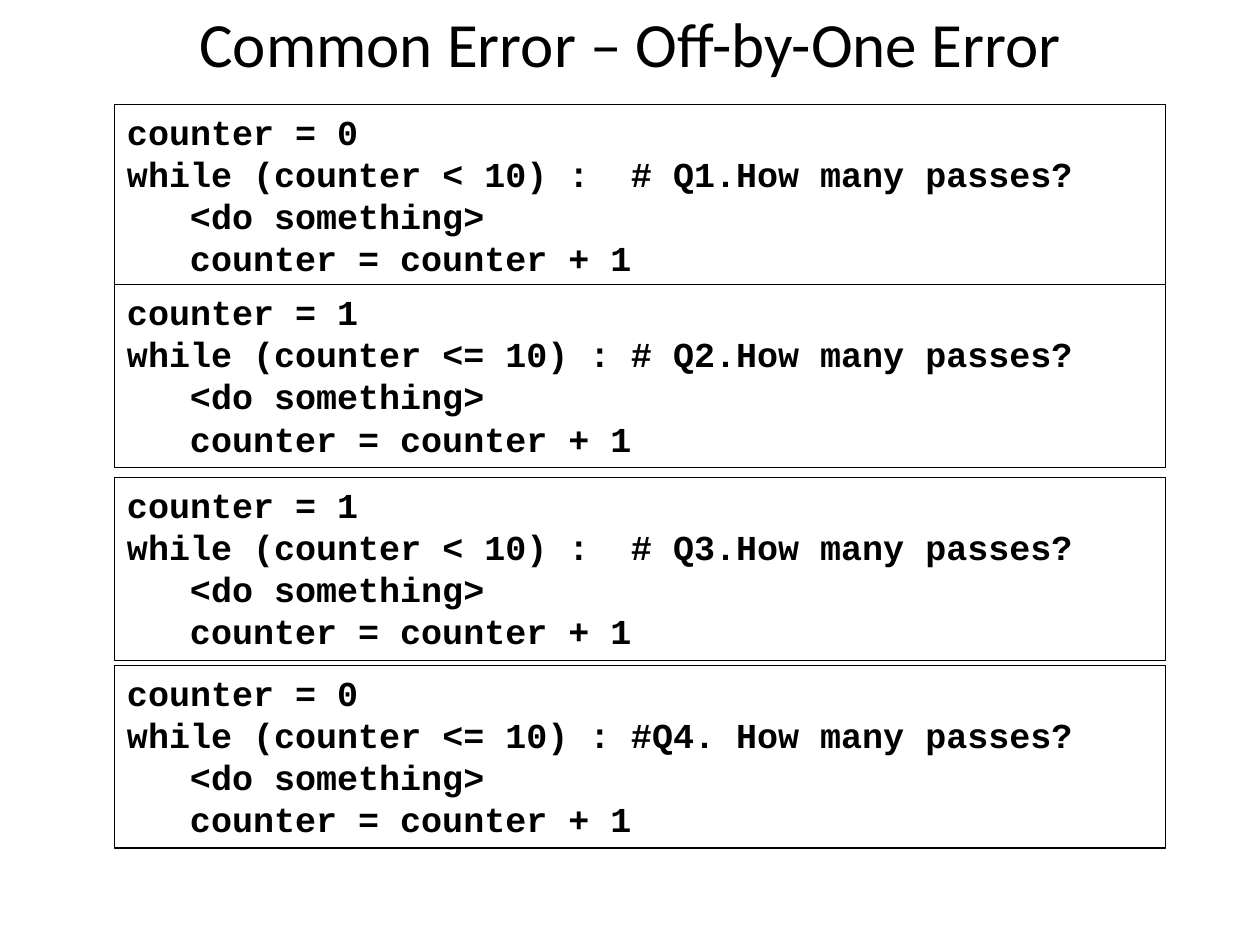
from lxml.etree import SubElement
from pptx import Presentation
from pptx.dml.color import RGBColor
from pptx.enum.shapes import MSO_SHAPE
from pptx.enum.text import MSO_ANCHOR, MSO_AUTO_SIZE, PP_ALIGN
from pptx.oxml.ns import qn
from pptx.util import Inches, Pt


def color(hex_value):
    return RGBColor.from_string(hex_value)


def write(paragraph, text, font="Courier New", size=20, bold=True,
          align=PP_ALIGN.LEFT, indent=0, tab=None):
    paragraph.alignment = align
    properties = paragraph._p.get_or_add_pPr()
    properties.set("marL", str(Inches(indent)))
    properties.set("indent", "0")
    if tab:
        tab_list = SubElement(properties, qn("a:tabLst"))
        SubElement(tab_list, qn("a:tab"), pos=str(Inches(tab)), algn="l")
    run = paragraph.add_run()
    run.text = text
    run.font.name = font
    run.font.size = Pt(size)
    run.font.bold = bold
    run.font.color.rgb = color("000000")


presentation = Presentation()
presentation.slide_width = Inches(10)
presentation.slide_height = Inches(7.5)
slide = presentation.slides.add_slide(presentation.slide_layouts[6])

title = slide.shapes.add_textbox(Inches(0.75), 0, Inches(8.5), Inches(0.67))
title.text_frame.word_wrap = True
title.text_frame.vertical_anchor = MSO_ANCHOR.MIDDLE
write(title.text_frame.paragraphs[0], "Common Error – Off-by-One Error",
      font="Calibri", size=36, bold=False, align=PP_ALIGN.CENTER)

character_width = 1 / 6
loops = [
    (0.83, 0, "<", "# Q1.How many passes?"),
    (2.26, 1, "<=", "# Q2.How many passes?"),
    (3.79, 1, "<", "# Q3.How many passes?"),
    (5.28, 0, "<=", "#Q4. How many passes?"),
]
for top, start, operator, question in loops:
    box = slide.shapes.add_shape(MSO_SHAPE.RECTANGLE, Inches(0.91), Inches(top),
                                 Inches(8.34), Inches(1.45))
    box.shadow.inherit = False
    box.fill.solid()
    box.fill.fore_color.rgb = color("FFFFFF")
    box.line.color.rgb = color("000000")
    box.line.width = Pt(0.75)

    frame = box.text_frame
    frame.word_wrap = True
    frame.auto_size = MSO_AUTO_SIZE.SHAPE_TO_FIT_TEXT
    frame.vertical_anchor = MSO_ANCHOR.TOP
    condition = f"while (counter {operator} 10) :"
    question_tab = (len(condition) + 4) * character_width
    body_indent = 3 * character_width
    write(frame.paragraphs[0], f"counter = {start}")
    write(frame.add_paragraph(), f"{condition}\t{question}", tab=question_tab)
    for statement in ("<do something>", "counter = counter + 1"):
        write(frame.add_paragraph(), statement, indent=body_indent)

presentation.save("out.pptx")
